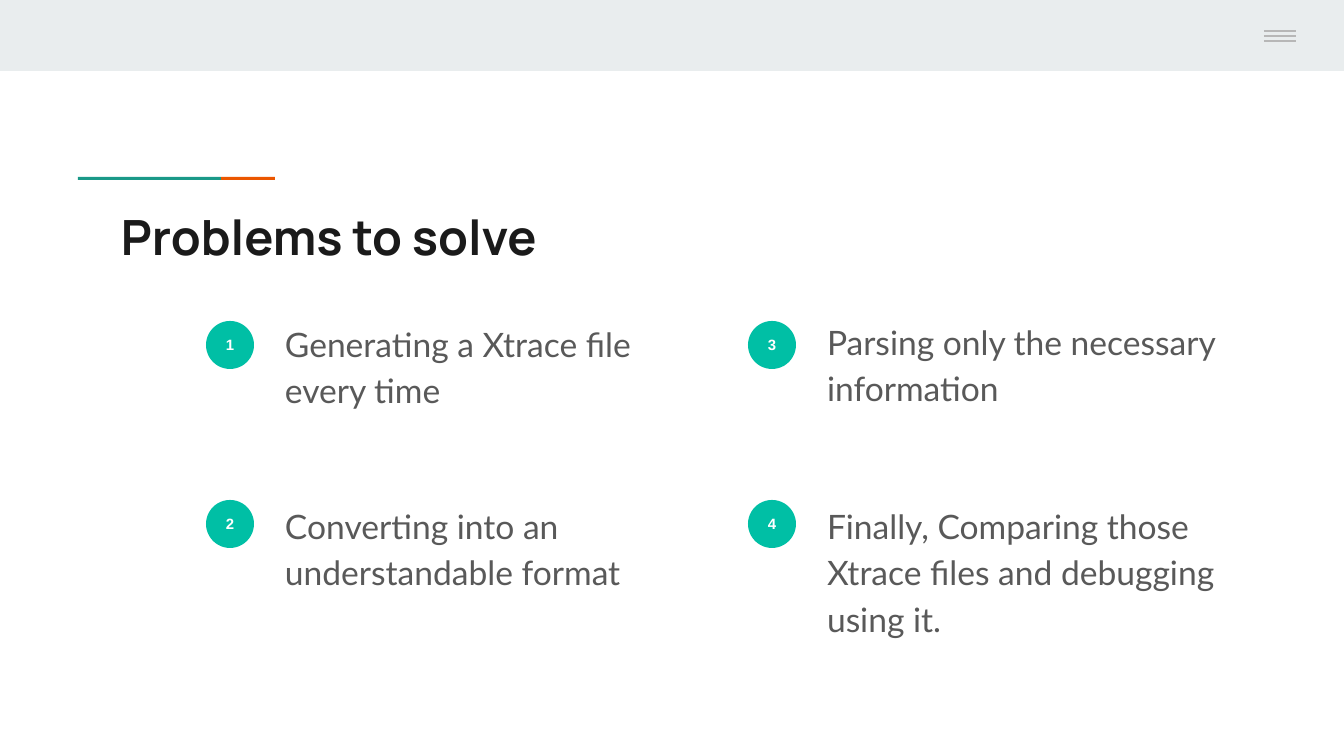
import pptx
import pptx.dml.color
import pptx.enum.shapes
import pptx.enum.text
import pptx.oxml.ns
import pptx.util
from lxml import etree

RGBColor = pptx.dml.color.RGBColor
SHAPES = pptx.enum.shapes.MSO_SHAPE

EMU_PER_PX = 914400 / 134.4
INSET = 13

HEADER_GREY = RGBColor(0xE9, 0xED, 0xEE)
MENU_GREY = RGBColor(0xB7, 0xB7, 0xB7)
DARK_TEAL = RGBColor(0x1A, 0x99, 0x88)
ORANGE = RGBColor(0xEB, 0x56, 0x00)
BADGE_TEAL = RGBColor(0x00, 0xBF, 0xA5)
TITLE_BLACK = RGBColor(0x1A, 0x1A, 0x1A)
BODY_GREY = RGBColor(0x59, 0x59, 0x59)
WHITE = RGBColor(0xFF, 0xFF, 0xFF)

PROBLEMS = [
    ("Generating a Xtrace file every time", 0, 0, -16, 400),
    ("Converting into an understandable format", 0, 1, -13, 417),
    ("Parsing only the necessary information", 1, 0, -18, 417),
    ("Finally, Comparing those Xtrace files and debugging using it.", 1, 1, -13, 417),
]


def px(value):
    """Turn pixels into EMU."""
    return pptx.util.Emu(round(value * EMU_PER_PX))


def add_filled_shape(slide, kind, left, top, width, height, color):
    """Add a flat shape with no outline."""
    shape = slide.shapes.add_shape(kind, px(left), px(top), px(width), px(height))
    shape.shadow.inherit = False
    shape.fill.solid()
    shape.fill.fore_color.rgb = color
    shape.line.fill.background()
    return shape


def set_text(shape, text, font_name, size, color, bold=False):
    """Write one styled paragraph with even insets and return it."""
    text_frame = shape.text_frame
    text_frame.margin_left = text_frame.margin_right = px(INSET)
    text_frame.margin_top = text_frame.margin_bottom = px(INSET)
    text_frame.text = text
    paragraph = text_frame.paragraphs[0]
    font = paragraph.runs[0].font
    font.name = font_name
    font.size = pptx.util.Pt(size)
    font.bold = bold
    font.color.rgb = color
    return paragraph


def add_text_box(slide, left, top, width, height):
    """Add an empty wrapping text box."""
    box = slide.shapes.add_textbox(px(left), px(top), px(width), px(height))
    box.text_frame.word_wrap = True
    return box


def add_menu_icon(slide, left, top, width):
    """Draw three evenly spaced menu lines."""
    for index in range(3):
        y = px(top + 5 * index)
        line = slide.shapes.add_connector(
            pptx.enum.shapes.MSO_CONNECTOR.STRAIGHT, px(left), y, px(left + width), y)
        line.line.color.rgb = MENU_GREY
        line.line.width = pptx.util.Pt(0.75)
        properties = line._element.spPr
        etree.SubElement(properties, pptx.oxml.ns.qn("a:effectLst"))


def add_header(slide, left, top, width, height):
    """Draw the header band with its menu icon at the right."""
    add_filled_shape(slide, SHAPES.RECTANGLE, left, top, width, height, HEADER_GREY)
    add_menu_icon(slide, left + width - 80, top + 31, 32)


def add_title(slide, left, top, width, height):
    """Place the two-colour accent rule and the title below it."""
    add_filled_shape(slide, SHAPES.RECTANGLE, left, top, 143, 3, DARK_TEAL)
    add_filled_shape(slide, SHAPES.RECTANGLE, left + 143, top, 54, 3, ORANGE)
    box = add_text_box(slide, left + 30, top + 17, width - 30, height - 17)
    set_text(box, "Problems to solve", "Manrope", 26, TITLE_BLACK, bold=True)


def add_problem(slide, left, top, number, text, text_offset, text_width):
    """Place a numbered badge and its description."""
    badge = add_filled_shape(slide, SHAPES.OVAL, left, top, 48, 48, BADGE_TEAL)
    badge.text_frame.vertical_anchor = pptx.enum.text.MSO_ANCHOR.MIDDLE
    paragraph = set_text(badge, str(number), "Arial", 8, WHITE, bold=True)
    paragraph.alignment = pptx.enum.text.PP_ALIGN.CENTER
    box = add_text_box(slide, left + 66, top + text_offset, text_width, 155)
    paragraph = set_text(box, text, "Lato", 18, BODY_GREY)
    paragraph.line_spacing = 1.15
    paragraph.space_after = pptx.util.Pt(16)


def add_problem_grid(slide, left, top, column_pitch, row_pitch):
    """Place the numbered problems column by column."""
    for number, (text, column, row, offset, width) in enumerate(PROBLEMS, start=1):
        add_problem(slide, left + column * column_pitch, top + row * row_pitch,
                    number, text, offset, width)


def main():
    """Build and save the presentation."""
    presentation = pptx.Presentation()
    presentation.slide_width = px(1344)
    presentation.slide_height = px(756)
    slide = presentation.slides.add_slide(presentation.slide_layouts[6])
    slide.background.fill.solid()
    slide.background.fill.fore_color.rgb = WHITE
    add_header(slide, 0, 0, 1344, 71)
    add_title(slide, 78, 177, 1160, 96)
    add_problem_grid(slide, 206, 321, 542, 179)
    presentation.save("out.pptx")


if __name__ == "__main__":
    main()
